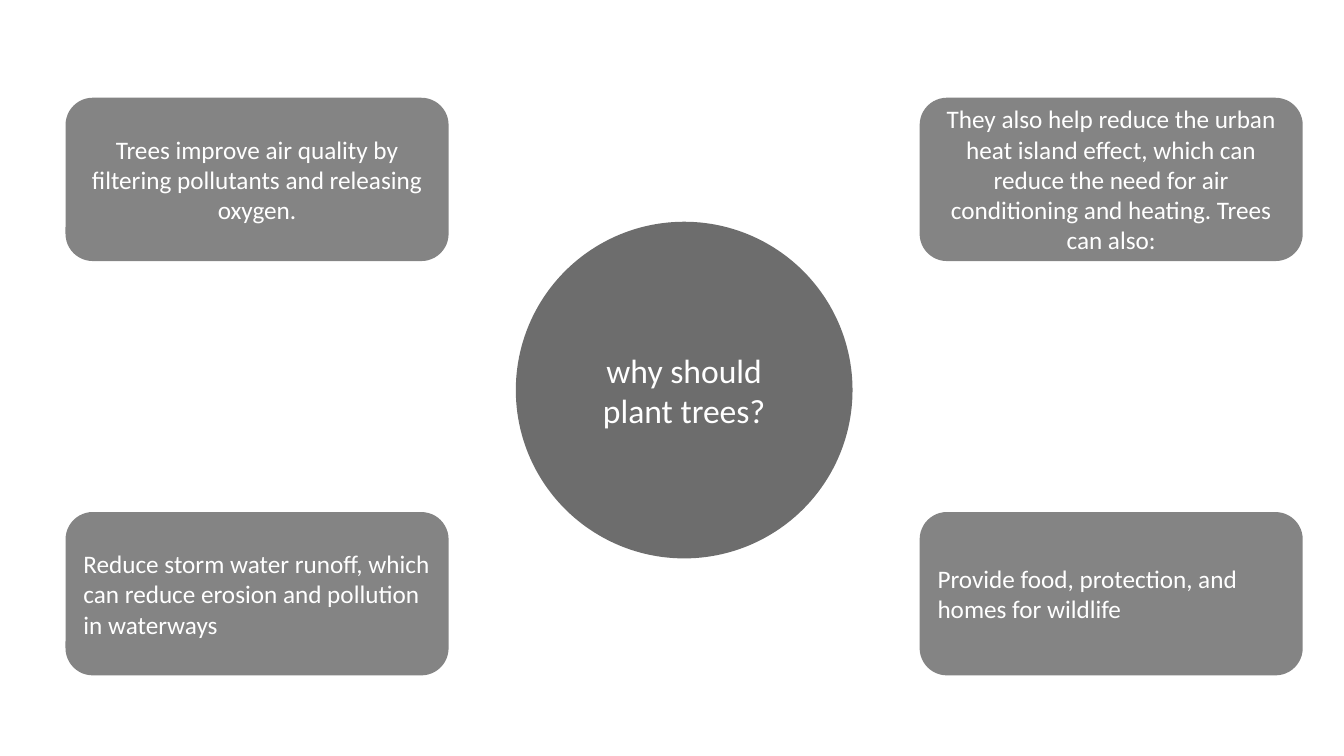
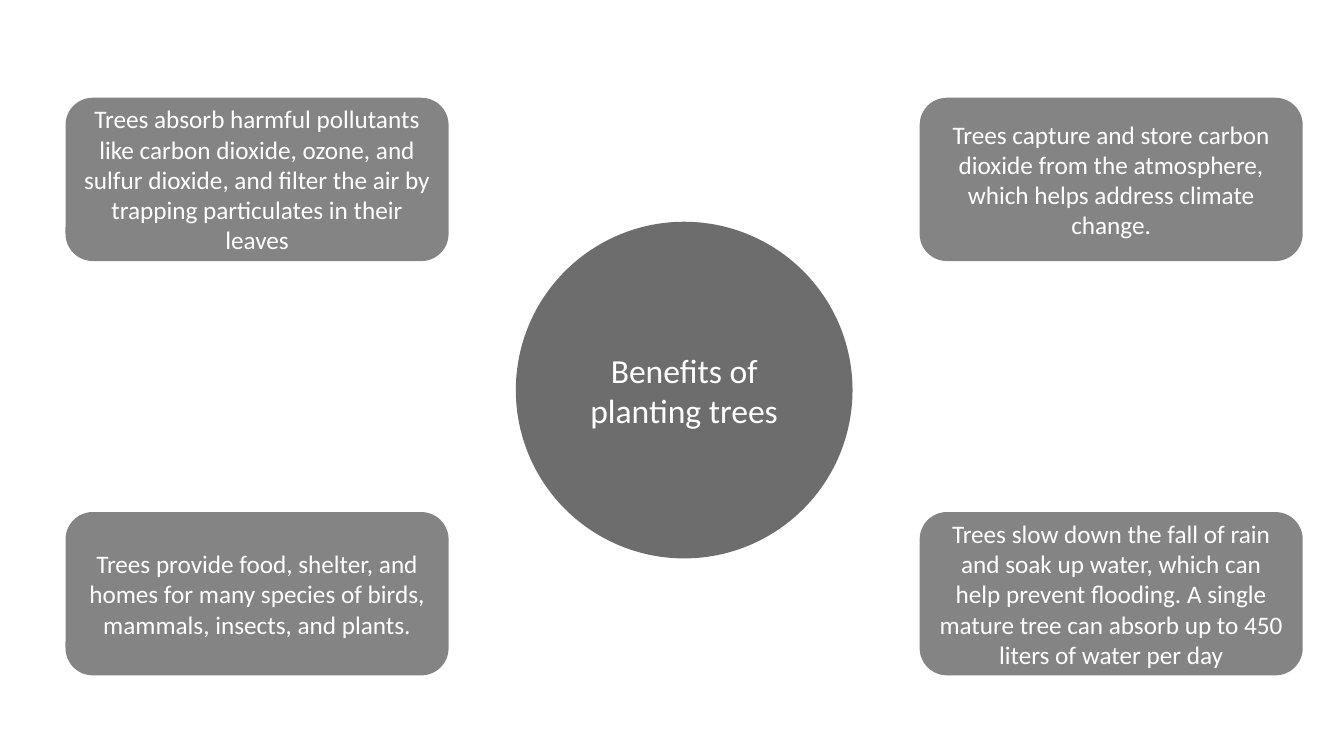
import dataclasses
import itertools

import lxml.etree
import pptx
import pptx.dml.color
import pptx.enum.shapes
import pptx.enum.text
import pptx.oxml.ns
import pptx.util

SHAPES = pptx.enum.shapes.MSO_SHAPE
LEFT = pptx.enum.text.PP_ALIGN.LEFT
CENTER = pptx.enum.text.PP_ALIGN.CENTER


@dataclasses.dataclass(frozen=True)
class Theme:
    font: str = "Calibri"
    fill: str = "404040"
    text: str = "FFFFFF"
    hub_opacity: int = 76
    card_opacity: int = 64
    hub_size: int = 24
    card_size: int = 18


@dataclasses.dataclass(frozen=True)
class Box:
    left: float
    top: float
    width: float
    height: float


THEME = Theme()
SLIDE = Box(0, 0, pptx.util.Inches(13.33), pptx.util.Inches(7.5))


def percent(share, length):
    return share * length / 100


# The four cards fill the corners of this area; the hub sits in its middle.
DIAGRAM = Box(percent(4.88, SLIDE.width), percent(12.93, SLIDE.height),
              percent(92.05, SLIDE.width), percent(76.4, SLIDE.height))
CARD_WIDTH = percent(28.5, SLIDE.width)
CARD_HEIGHT = percent(21.6, SLIDE.height)
HUB_DIAMETER = percent(44.53, SLIDE.height)
HUB_DROP = percent(0.47, SLIDE.height)

# Each slide: hub text, then cards row by row as (text, alignment)
SLIDES = [
    ("why should plant trees?", [
        ("Trees improve air quality by filtering pollutants and releasing "
         "oxygen.", CENTER),
        ("They also help reduce the urban heat island effect, which can "
         "reduce the need for air conditioning and heating. Trees can also:",
         CENTER),
        ("Reduce storm water runoff, which can reduce erosion and pollution "
         "in waterways", LEFT),
        ("Provide food, protection, and homes for wildlife", LEFT),
    ]),
    ("Benefits of planting trees", [
        ("Trees absorb harmful pollutants like carbon dioxide, ozone, and "
         "sulfur dioxide, and filter the air by trapping particulates in "
         "their leaves", CENTER),
        ("Trees capture and store carbon dioxide from the atmosphere, which "
         "helps address climate change.", CENTER),
        ("Trees provide food, shelter, and homes for many species of birds, "
         "mammals, insects, and plants.", CENTER),
        ("Trees slow down the fall of rain and soak up water, which can help "
         "prevent flooding. A single mature tree can absorb up to 450 liters "
         "of water per day", CENTER),
    ]),
]


def add_panel(page, preset, box, text, size, opacity, alignment=CENTER):
    """Add a translucent shape with vertically centred text."""
    panel = page.shapes.add_shape(
        preset, *(round(length) for length in dataclasses.astuple(box)))
    panel.shadow.inherit = False
    panel.line.fill.background()
    panel.fill.solid()
    panel.fill.fore_color.rgb = pptx.dml.color.RGBColor.from_string(THEME.fill)
    colour = panel.fill._xPr.find(".//" + pptx.oxml.ns.qn("a:srgbClr"))
    alpha = lxml.etree.SubElement(colour, pptx.oxml.ns.qn("a:alpha"))
    alpha.set("val", str(opacity * 1000))

    frame = panel.text_frame
    frame.word_wrap = True
    frame.vertical_anchor = pptx.enum.text.MSO_ANCHOR.MIDDLE
    para = frame.paragraphs[0]
    para.text = text
    para.alignment = alignment
    para.font.name = THEME.font
    para.font.size = pptx.util.Pt(size)
    para.font.color.rgb = pptx.dml.color.RGBColor.from_string(THEME.text)


def add_hub(page, area, text):
    """Place the circle in the middle of the area."""
    box = Box(area.left + (area.width - HUB_DIAMETER) / 2,
              area.top + (area.height - HUB_DIAMETER) / 2 + HUB_DROP,
              HUB_DIAMETER, HUB_DIAMETER)
    add_panel(page, SHAPES.FLOWCHART_CONNECTOR, box, text,
              THEME.hub_size, THEME.hub_opacity)


def add_cards(page, area, cards):
    """Place one card in each corner of the area, row by row."""
    corners = itertools.product(range(2), repeat=2)
    for (row, column), (text, alignment) in zip(corners, cards):
        box = Box(area.left + column * (area.width - CARD_WIDTH),
                  area.top + row * (area.height - CARD_HEIGHT),
                  CARD_WIDTH, CARD_HEIGHT)
        add_panel(page, SHAPES.ROUNDED_RECTANGLE, box, text,
                  THEME.card_size, THEME.card_opacity, alignment)


def main():
    deck = pptx.Presentation()
    deck.slide_width, deck.slide_height = SLIDE.width, SLIDE.height
    for hub_text, cards in SLIDES:
        page = deck.slides.add_slide(deck.slide_layouts[6])
        add_hub(page, DIAGRAM, hub_text)
        add_cards(page, DIAGRAM, cards)
    deck.save("out.pptx")


if __name__ == "__main__":
    main()
